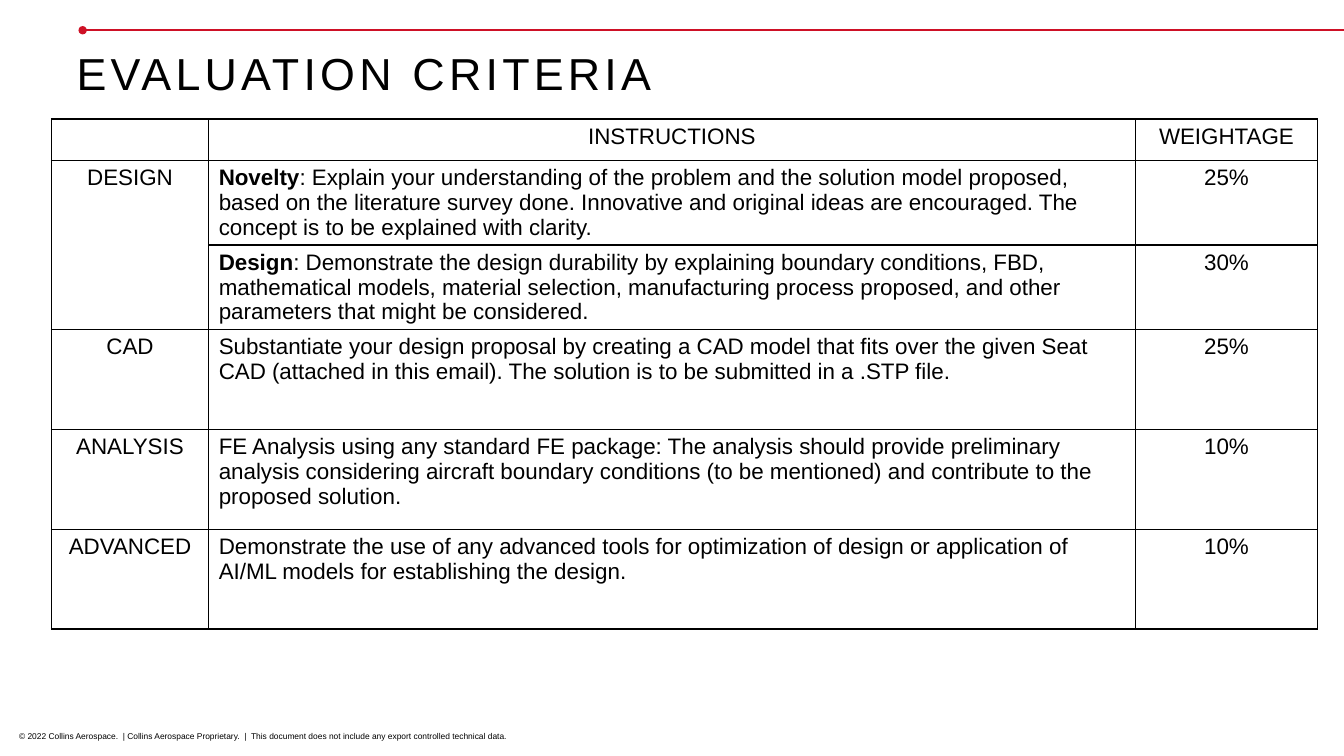
"""Build the evaluation criteria slide with its weighting table."""
from lxml import etree
from pptx import Presentation
from pptx.dml.color import RGBColor
from pptx.enum.shapes import MSO_CONNECTOR
from pptx.enum.text import MSO_ANCHOR, PP_ALIGN
from pptx.oxml.ns import qn
from pptx.util import Inches, Pt

STRAIGHT = MSO_CONNECTOR.STRAIGHT
TOP = MSO_ANCHOR.TOP
LEFT, CENTER = PP_ALIGN.LEFT, PP_ALIGN.CENTER
COLORS = {"text": "000000", "border": "000000", "accent": "CE1126"}
FONT = "Arial"
COLUMN_WIDTHS = [1.56, 9.19, 1.81]
ROW_HEIGHTS = [0.41, 0.83, 0.83, 0.99, 0.99, 0.99]
CRITERIA = [
    ("", "", "INSTRUCTIONS", "WEIGHTAGE"),
    ("DESIGN", "Novelty", ": Explain your understanding of the problem and the solution model "
     "proposed, based on the literature survey done. Innovative and original ideas are "
     "encouraged. The concept is to be explained with clarity.", "25%"),
    ("", "Design", ": Demonstrate the design durability by explaining boundary conditions, FBD, "
     "mathematical models, material selection, manufacturing process proposed, and other "
     "parameters that might be considered.", "30%"),
    ("CAD", "", "Substantiate your design proposal by creating a CAD model that fits over the "
     "given Seat CAD (attached in this email). The solution is to be submitted in a .STP file.",
     "25%"),
    ("ANALYSIS", "", "FE Analysis using any standard FE package: The analysis should provide "
     "preliminary analysis considering aircraft boundary conditions (to be mentioned) and "
     "contribute to the proposed solution.", "10%"),
    ("ADVANCED", "", "Demonstrate the use of any advanced tools for optimization of design or "
     "application of AI/ML models for establishing the design.", "10%"),
]


def style_paragraph(paragraph, size, alignment=LEFT):
    paragraph.alignment = alignment
    paragraph.font.name = FONT
    paragraph.font.size = Pt(size)
    paragraph.font.color.rgb = RGBColor.from_string(COLORS["text"])


def add_borders(cell):
    properties = cell._tc.get_or_add_tcPr()
    for position, side in enumerate(("a:lnL", "a:lnR", "a:lnT", "a:lnB")):
        border = etree.Element(qn(side), w=str(Pt(1)))
        fill = etree.SubElement(border, qn("a:solidFill"))
        etree.SubElement(fill, qn("a:srgbClr"), val=COLORS["border"])
        properties.insert(position, border)


presentation = Presentation()
presentation.slide_width = Inches(13.33)
presentation.slide_height = Inches(7.5)
slide = presentation.slides.add_slide(presentation.slide_layouts[5])

rule = slide.shapes.add_connector(
    STRAIGHT, Inches(0.82), Inches(0.3), presentation.slide_width, Inches(0.3))
rule.line.color.rgb = RGBColor.from_string(COLORS["accent"])
rule.line.width = Pt(1.5)
etree.SubElement(rule.line._get_or_add_ln(), qn("a:headEnd"), type="oval")
etree.SubElement(rule._element.spPr, qn("a:effectLst"))

title = slide.shapes.title
title.left, title.top = Inches(0.76), Inches(0.56)
title.width, title.height = Inches(11.82), Inches(0.74)
frame = title.text_frame
frame.margin_left = frame.margin_right = frame.margin_top = frame.margin_bottom = 0
frame.vertical_anchor = TOP
frame.text = "EVALUATION CRITERIA"
style_paragraph(frame.paragraphs[0], 32)
frame.paragraphs[0].line_spacing = 0.8
frame.paragraphs[0].runs[0].font._element.set("spc", "300")

table = slide.shapes.add_table(
    len(ROW_HEIGHTS), len(COLUMN_WIDTHS), Inches(0.51), Inches(1.18),
    Inches(sum(COLUMN_WIDTHS)), Inches(sum(ROW_HEIGHTS))).table
table.first_row = table.horz_banding = False
for column, width in zip(table.columns, COLUMN_WIDTHS):
    column.width = Inches(width)
for row, height in zip(table.rows, ROW_HEIGHTS):
    row.height = Inches(height)
table.cell(1, 0).merge(table.cell(2, 0))

for row_index, (area, lead, instruction, weight) in enumerate(CRITERIA):
    for column_index, text in enumerate((area, instruction, weight)):
        cell = table.cell(row_index, column_index)
        cell.fill.background()
        add_borders(cell)
        paragraph = cell.text_frame.paragraphs[0]
        is_instruction = column_index == 1 and row_index > 0
        style_paragraph(paragraph, 16, LEFT if is_instruction else CENTER)
        if is_instruction and lead:
            paragraph.add_run().text = lead
            paragraph.runs[0].font.bold = True
        if text:
            paragraph.add_run().text = text

footer = slide.shapes.add_textbox(Inches(0.09), Inches(7.2), Inches(11.02), Inches(0.3))
footer.text_frame.word_wrap = True
footer.text_frame.text = (
    "© 2022 Collins Aerospace.  | Collins Aerospace Proprietary.  |  "
    "This document does not include any export controlled technical data.")
style_paragraph(footer.text_frame.paragraphs[0], 6)

presentation.save("out.pptx")
